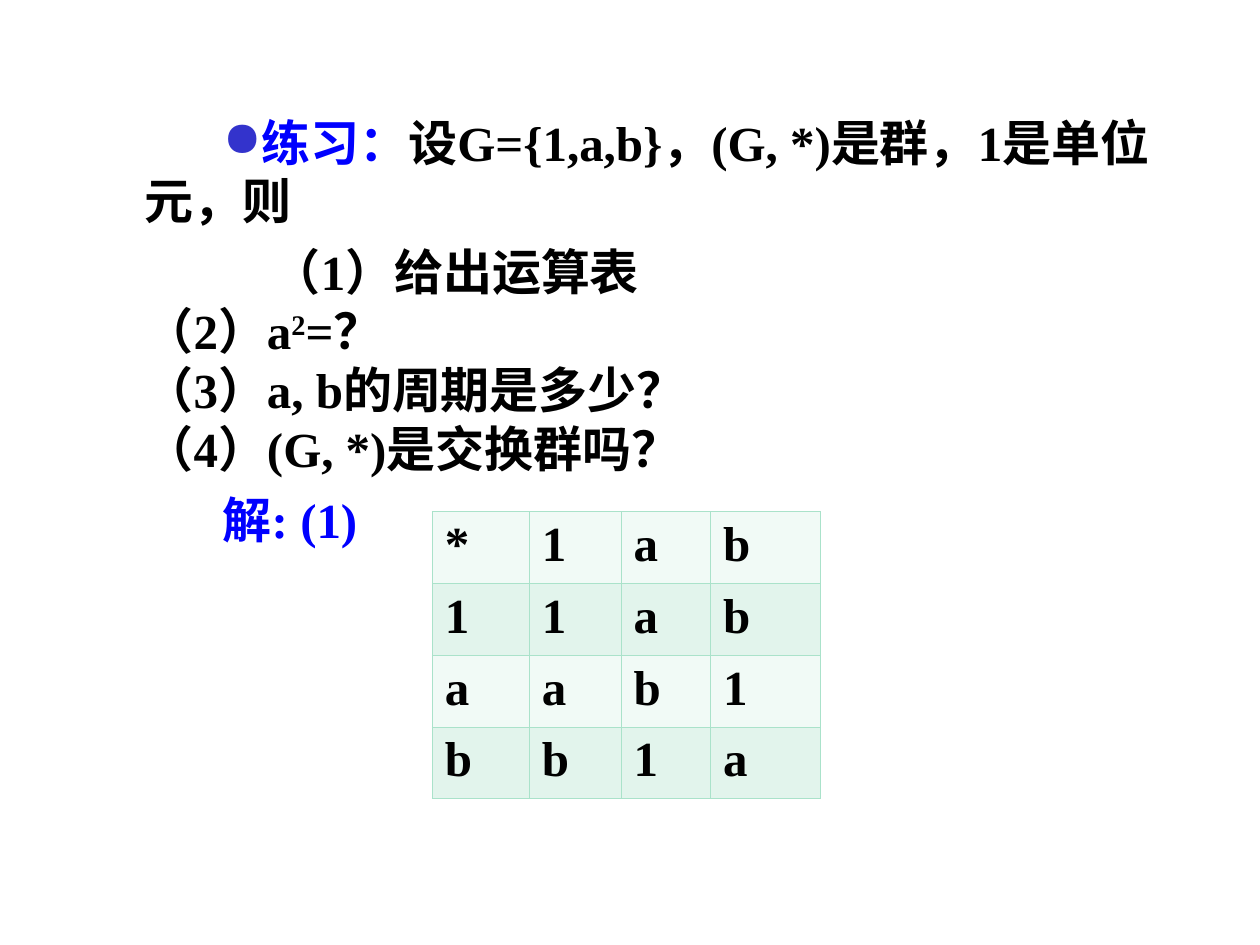
"""Build a group theory exercise slide with its operation table."""
import lxml.etree
import pptx
import pptx.dml.color
import pptx.oxml.ns
import pptx.util

Inches = pptx.util.Inches
RGBColor = pptx.dml.color.RGBColor
BLACK = RGBColor(0x00, 0x00, 0x00)
BLUE = RGBColor(0x00, 0x00, 0xFF)
BULLET = RGBColor(0x33, 0x33, 0xCC)
BORDER = RGBColor(0xAA, 0xE2, 0xCA)
BANDS = [RGBColor(0xF1, 0xFA, 0xF6), RGBColor(0xE2, 0xF4, 0xEC)]


def add_element(parent, tag, **attributes):
    element = lxml.etree.SubElement(parent, pptx.oxml.ns.qn(tag))
    for name, value in attributes.items():
        element.set(name, str(value))
    return element


def format_font(paragraph, color):
    font = paragraph.font
    font.name = "Times New Roman"
    font.size = pptx.util.Pt(28)
    font.bold = True
    font.color.rgb = color


presentation = pptx.Presentation()
presentation.slide_width = Inches(10)
presentation.slide_height = Inches(7.5)
slide = presentation.slides.add_slide(presentation.slide_layouts[6])

text_box = slide.shapes.add_textbox(Inches(0.67), Inches(0.84), Inches(8.82), Inches(5.78))
text_frame = text_box.text_frame
text_frame.word_wrap = True

exercise = text_frame.paragraphs[0]
questions = text_frame.add_paragraph()
answer = text_frame.add_paragraph()
for paragraph, indent, color in [(exercise, 0.62, BLACK), (questions, 1.01, BLACK), (answer, 0.62, BLUE)]:
    properties = paragraph._p.get_or_add_pPr()
    properties.set("marL", str(Inches(0.38)))
    properties.set("indent", str(Inches(indent)))
    if paragraph is exercise:
        bullet_color = add_element(properties, "a:buClr")
        add_element(bullet_color, "a:srgbClr", val=BULLET)
        add_element(properties, "a:buChar", char="●")
    else:
        add_element(properties, "a:buNone")
        paragraph.space_before = pptx.util.Pt(7)
    format_font(paragraph, color)

for text, color in [("练习：", BLUE), ("设G={1,a,b}，(G, *)是群，1是单位元，则", BLACK)]:
    run = exercise.add_run()
    run.text = text
    run.font.color.rgb = color

question_lines = [["（1）给出运算表"], ["（2）a", "2", "=？"], ["（3）a, b的周期是多少？"], ["（4）(G, *)是交换群吗？"]]
for number, line in enumerate(question_lines):
    if number:
        questions.add_line_break()
    for text in line:
        run = questions.add_run()
        run.text = text
        if text == "2":
            run._r.get_or_add_rPr().set("baseline", "30000")

answer.add_run().text = "解: (1)"

operation_rows = ["*1ab", "11ab", "aab1", "bb1a"]
column_widths = [0.77, 0.73, 0.71, 0.87]
row_height = 0.57
table = slide.shapes.add_table(
    len(operation_rows), len(column_widths), Inches(3.43), Inches(4.06),
    Inches(sum(column_widths)), Inches(row_height * len(operation_rows))).table
for column, width in zip(table.columns, column_widths):
    column.width = Inches(width)

for row_index, symbols in enumerate(operation_rows):
    table.rows[row_index].height = Inches(row_height)
    for column_index, symbol in enumerate(symbols):
        cell = table.cell(row_index, column_index)
        cell.text = symbol
        format_font(cell.text_frame.paragraphs[0], BLACK)
        cell_properties = cell._tc.get_or_add_tcPr()
        for side in ["a:lnL", "a:lnR", "a:lnT", "a:lnB"]:
            border = add_element(cell_properties, side, w=pptx.util.Pt(0.45))
            border_fill = add_element(border, "a:solidFill")
            add_element(border_fill, "a:srgbClr", val=BORDER)
        cell.fill.solid()
        cell.fill.fore_color.rgb = BANDS[row_index % 2]

presentation.save("out.pptx")
